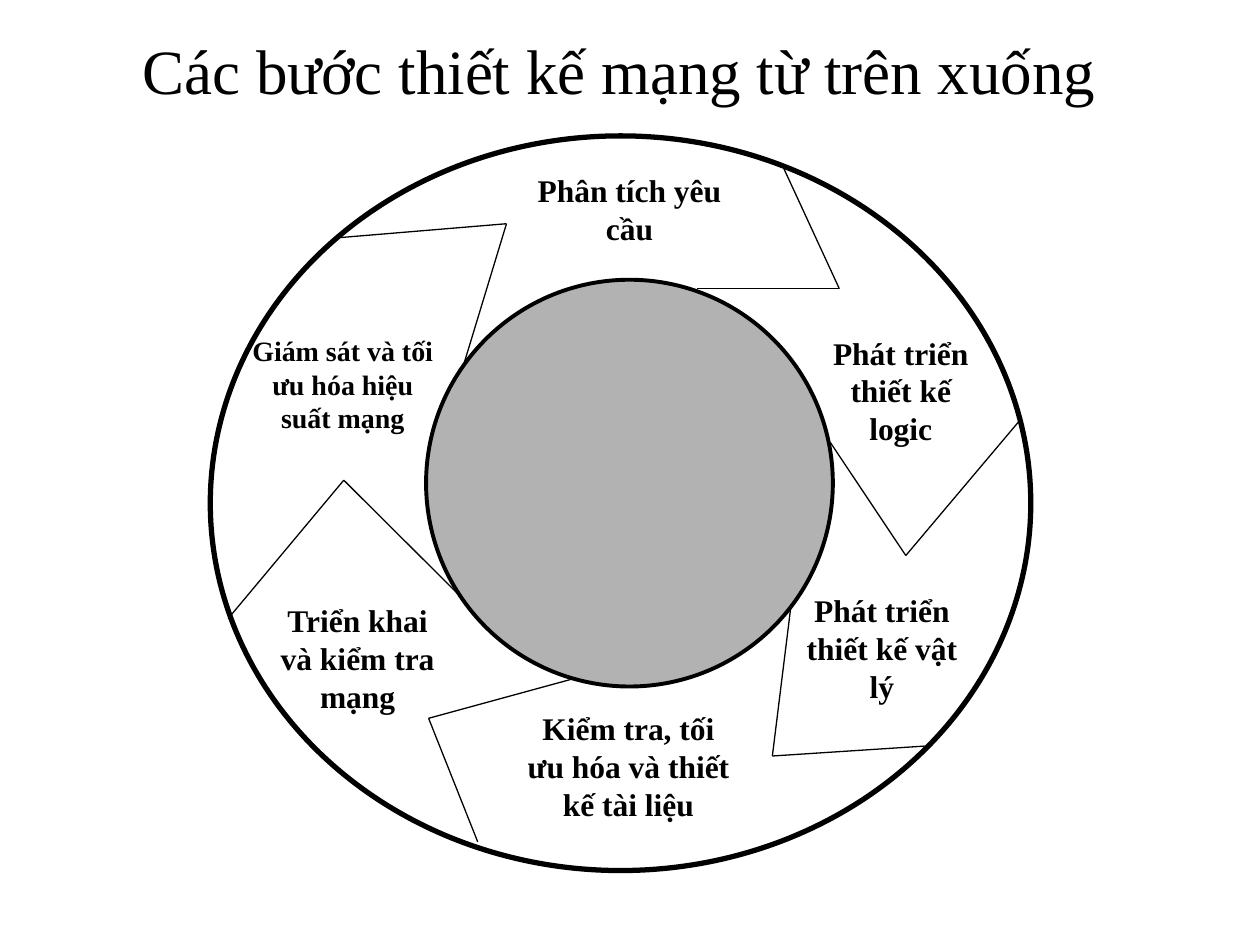
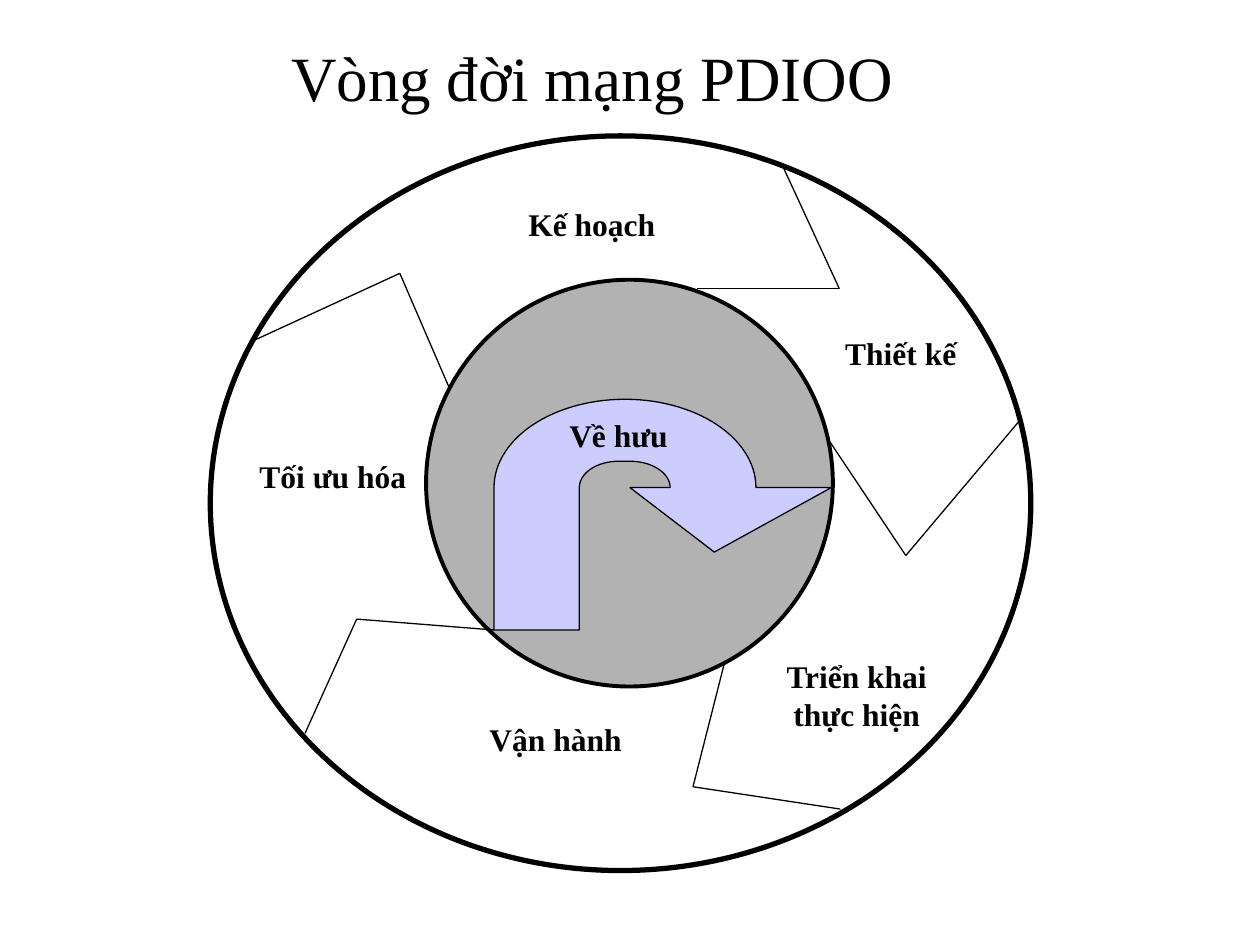
from dataclasses import dataclass
from math import cos, radians, sin

from lxml.etree import SubElement
from pptx import Presentation
from pptx.dml.color import RGBColor
from pptx.enum.shapes import MSO_CONNECTOR, MSO_SHAPE
from pptx.enum.text import MSO_ANCHOR, MSO_AUTO_SIZE, PP_ALIGN
from pptx.oxml.ns import qn
from pptx.slide import Slide
from pptx.util import Cm, Pt

INK = RGBColor(0x00, 0x00, 0x00)
HUB_GREY = RGBColor(0xB2, 0xB2, 0xB2)
RETIRE_LILAC = RGBColor(0xCC, 0xCC, 0xFF)
FONT = "Times New Roman"
TITLE_SIZE = 36
THIN = 0.75

Point = tuple[float, float]


@dataclass(frozen=True)
class Box:
    """A frame in centimetres."""
    left: float
    top: float
    width: float
    height: float

    def lengths(self) -> tuple[Cm, Cm, Cm, Cm]:
        return Cm(self.left), Cm(self.top), Cm(self.width), Cm(self.height)


@dataclass(frozen=True)
class Step:
    text: str
    box: Box
    size: int = 18


@dataclass(frozen=True)
class Chevron:
    """The border between two steps: outer ring, tip, inner hub."""
    outer: Point
    tip: Point
    inner: Point


@dataclass(frozen=True)
class Cycle:
    title: str
    title_box: Box
    steps: list[Step]
    chevrons: list[Chevron]


RING = Box(4.24, 2.74, 16.54, 14.81)
HUB = Box(8.59, 5.64, 8.2, 8.2)

SHARED_CHEVRONS = [
    Chevron((15.77, 3.33), (16.92, 5.82), (14.05, 5.82)),
    Chevron((20.57, 8.46), (18.26, 11.2), (16.74, 8.92)),
]

TOP_DOWN = Cycle(
    "Các bước thiết kế mạng từ trên xuống",
    Box(1.27, 0.13, 22.43, 2.54),
    [
        Step("Phân tích yêu cầu", Box(10.29, 3.33, 4.8, 1.78)),
        Step("Phát triển thiết kế logic", Box(16.33, 6.6, 3.66, 2.54)),
        Step("Phát triển thiết kế vật lý", Box(15.95, 11.79, 3.66, 2.54)),
        Step("Kiểm tra, tối ưu hóa và thiết kế tài liệu",
             Box(10.36, 14.17, 4.62, 2.54)),
        Step("Triển khai và kiểm tra mạng", Box(5.38, 11.99, 3.66, 2.54)),
        Step("Giám sát và tối ưu hóa hiệu suất mạng",
             Box(4.8, 6.6, 4.22, 2.97), 16),
    ],
    SHARED_CHEVRONS + [
        Chevron((18.64, 15.04), (15.57, 15.24), (15.95, 12.17)),
        Chevron((9.63, 16.97), (8.64, 14.48), (11.53, 13.69)),
        Chevron((4.6, 12.47), (6.93, 9.68), (9.35, 12.09)),
        Chevron((6.73, 4.8), (10.21, 4.51), (9.35, 7.34)),
    ],
)

PDIOO = Cycle(
    "Vòng đời mạng PDIOO",
    Box(1.14, -0.05, 21.59, 3.18),
    [
        Step("Kế hoạch", Box(9.53, 4.01, 4.8, 1.02)),
        Step("Thiết kế", Box(16.33, 6.6, 3.66, 1.02)),
        Step("Triển khai thực hiện", Box(15.44, 13.13, 3.66, 1.02)),
        Step("Vận hành", Box(8.89, 14.4, 4.62, 1.02)),
        Step("Tối ưu hóa", Box(4.88, 9.09, 3.66, 1.02)),
    ],
    SHARED_CHEVRONS + [
        Chevron((16.94, 16.31), (13.97, 15.86), (14.61, 13.34)),
        Chevron((6.15, 14.78), (7.19, 12.48), (9.96, 12.7)),
        Chevron((5.08, 6.88), (8.06, 5.51), (9.07, 7.85)),
    ],
)

RETIRE = Step("Về hưu", Box(10.16, 8.26, 4.62, 1.02))


def style_shape(shape, weight: float, fill: RGBColor | None = None) -> None:
    shape.shadow.inherit = False
    shape.line.color.rgb = INK
    shape.line.width = Pt(weight)
    if fill is None:
        shape.fill.background()
    else:
        shape.fill.solid()
        shape.fill.fore_color.rgb = fill


def style_text(frame, text: str, size: int, bold: bool) -> None:
    frame.text = text
    paragraph = frame.paragraphs[0]
    paragraph.alignment = PP_ALIGN.CENTER
    font = paragraph.runs[0].font
    font.name, font.size, font.bold = FONT, Pt(size), bold
    font.color.rgb = INK


def set_title(slide: Slide, text: str, box: Box) -> None:
    title = slide.shapes.title
    title.left, title.top, title.width, title.height = box.lengths()
    style_text(title.text_frame, text, TITLE_SIZE, False)
    title.text_frame.vertical_anchor = MSO_ANCHOR.MIDDLE


def add_ellipse(slide: Slide, box: Box, weight: float,
                fill: RGBColor | None = None) -> None:
    ellipse = slide.shapes.add_shape(MSO_SHAPE.OVAL, *box.lengths())
    style_shape(ellipse, weight, fill)


def add_step(slide: Slide, step: Step) -> None:
    frame = slide.shapes.add_textbox(*step.box.lengths()).text_frame
    frame.word_wrap = True
    frame.auto_size = MSO_AUTO_SIZE.SHAPE_TO_FIT_TEXT
    style_text(frame, step.text, step.size, True)
    frame.paragraphs[0].space_before = Pt(step.size * 0.625)


def add_chevron(slide: Slide, chevron: Chevron) -> None:
    for end in (chevron.outer, chevron.inner):
        edge = slide.shapes.add_connector(
            MSO_CONNECTOR.STRAIGHT, *(Cm(v) for v in chevron.tip + end))
        edge.line.color.rgb = INK
        edge.line.width = Pt(THIN)
        SubElement(edge._element.spPr, qn("a:effectLst"))


def arc(center: Point, rx: float, ry: float, start: int, end: int) -> list[Point]:
    """Points on an ellipse, by angle in degrees, every 3 degrees."""
    step = 3 if end > start else -3
    return [(center[0] + rx * cos(radians(angle)),
             center[1] - ry * sin(radians(angle)))
            for angle in range(start, end + step, step)]


def add_retire_arrow(slide: Slide) -> None:
    bend = 9.83
    foot = 12.7
    outline = [
        (14.4, 11.13), (16.76, bend),
        *arc((12.6, bend), 2.64, 1.78, 0, 180),
        (9.96, foot), (11.68, foot),
        *arc((12.47, bend), 0.79, 0.53, 180, 90),
        *arc((12.7, bend), 0.81, 0.53, 90, 0),
        (12.7, bend),
    ]
    points = [(Cm(x), Cm(y)) for x, y in outline]
    builder = slide.shapes.build_freeform(*points[0])
    builder.add_line_segments(points[1:], close=True)
    style_shape(builder.convert_to_shape(), THIN, RETIRE_LILAC)


def add_cycle_slide(deck, cycle: Cycle) -> Slide:
    slide = deck.slides.add_slide(deck.slide_layouts.get_by_name("Title Only"))
    set_title(slide, cycle.title, cycle.title_box)
    add_ellipse(slide, RING, 3)
    add_ellipse(slide, HUB, 2.25, HUB_GREY)
    for step in cycle.steps:
        add_step(slide, step)
    for chevron in cycle.chevrons:
        add_chevron(slide, chevron)
    return slide


def main() -> None:
    deck = Presentation()
    deck.slide_width, deck.slide_height = Cm(25.4), Cm(19.05)
    add_cycle_slide(deck, TOP_DOWN)
    life_cycle = add_cycle_slide(deck, PDIOO)
    add_retire_arrow(life_cycle)
    add_step(life_cycle, RETIRE)
    deck.save("out.pptx")


if __name__ == "__main__":
    main()
